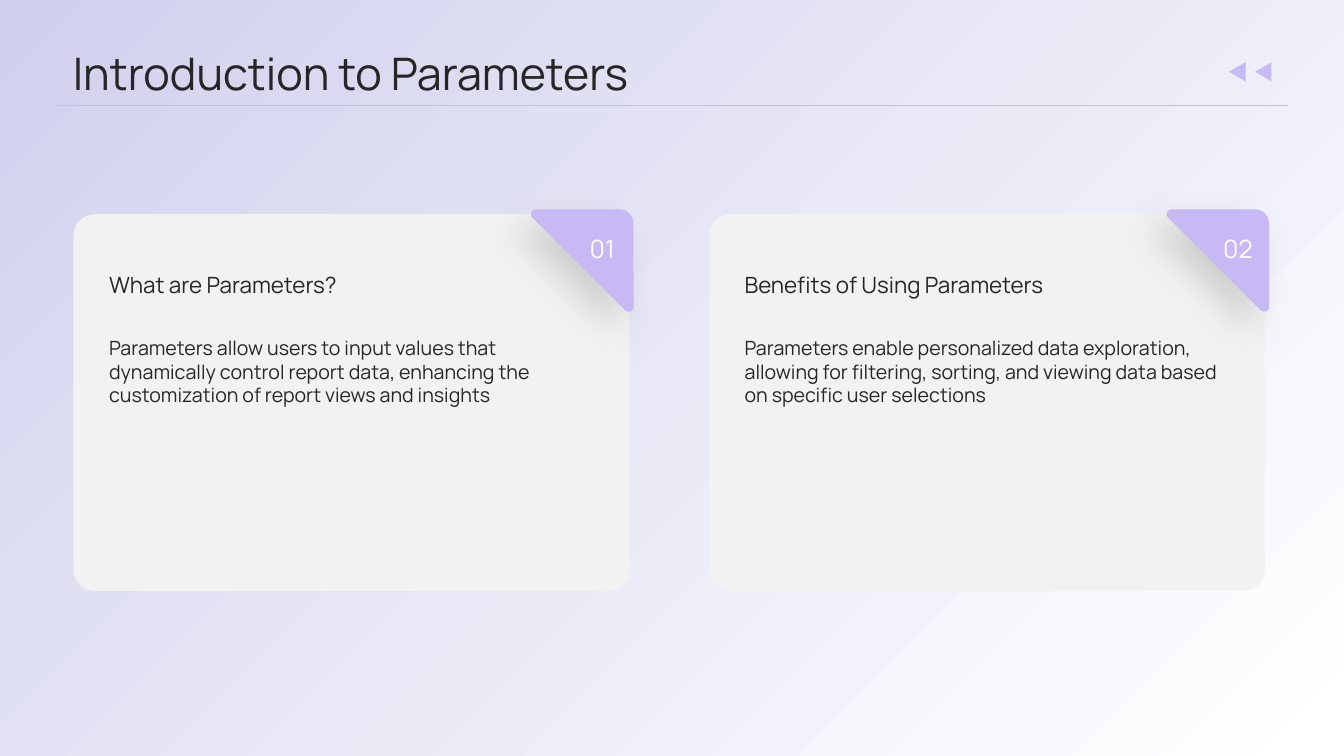
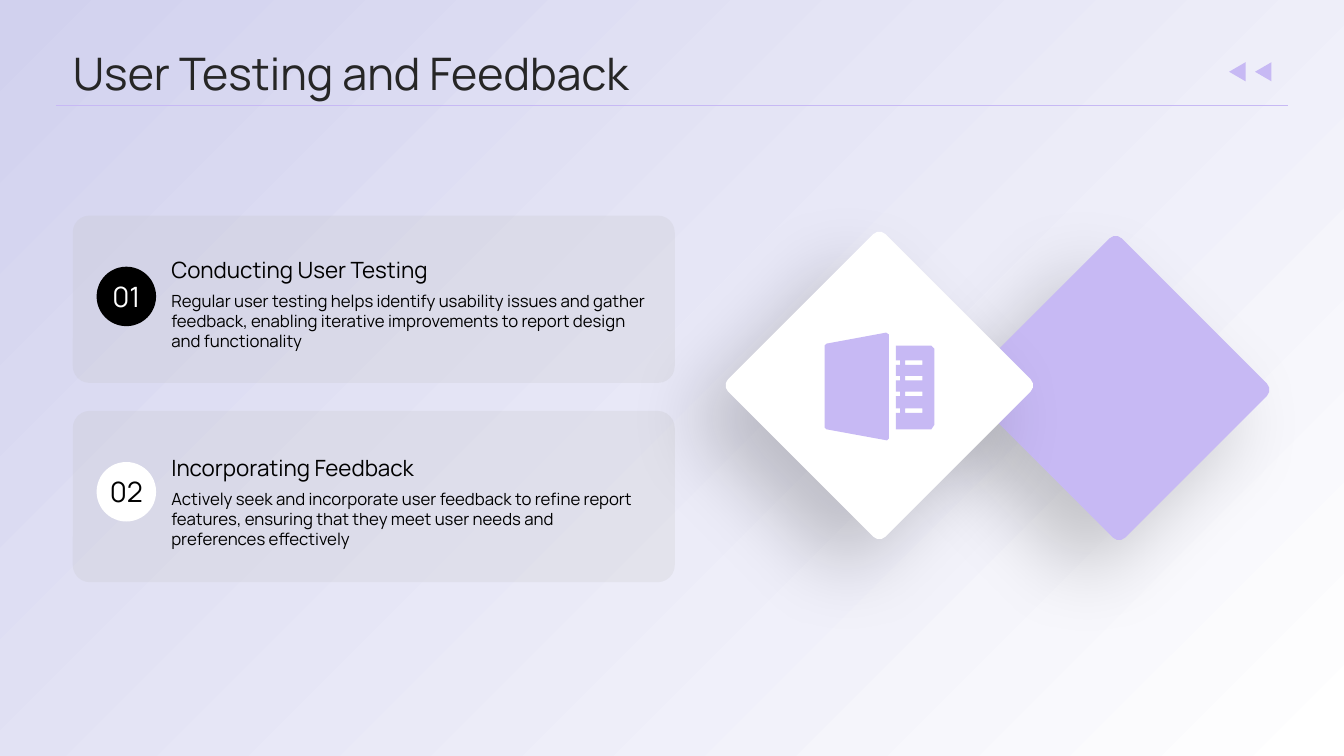
import math
from dataclasses import dataclass

import lxml.etree
import pptx
import pptx.dml.color
import pptx.enum.shapes
import pptx.enum.text
import pptx.oxml
import pptx.oxml.ns
import pptx.util

Pt = pptx.util.Pt
Shapes = pptx.enum.shapes.MSO_SHAPE
Anchor = pptx.enum.text.MSO_ANCHOR
Align = pptx.enum.text.PP_ALIGN
RGB = pptx.dml.color.RGBColor.from_string
qn = pptx.oxml.ns.qn


@dataclass(frozen=True)
class Theme:
    font: str = "Manrope"
    ink: str = "262626"
    black: str = "000000"
    white: str = "FFFFFF"
    accent: str = "C7B9F4"
    haze: str = "D1D1EE"
    card: str = "F2F2F2"
    panel: str = "BFBFBF"
    tab_shadow: tuple = ("808080", 30, 25, 15)
    diamond_shadow: tuple = ("000000", 20, 56, 33)
    title: int = 32
    badge: int = 20
    number: int = 18
    heading: int = 16
    body: int = 14
    detail: int = 12


theme = Theme()


def paint(shape, color, shadow=None, alpha=100):
    shape.shadow.inherit = False
    shape.fill.solid()
    shape.fill.fore_color.rgb = RGB(color)
    shape.line.fill.background()
    properties = shape._element.spPr
    if alpha < 100:
        tint = properties.find(qn("a:solidFill"))[0]
        lxml.etree.SubElement(tint, qn("a:alpha"), val=str(alpha * 1000))
    if shadow:
        shade, opacity, blur, distance = shadow
        cast = lxml.etree.SubElement(
            properties.find(qn("a:effectLst")), qn("a:outerShdw"),
            blurRad=str(Pt(blur)), dist=str(Pt(distance)),
            dir=str(135 * 60000), algn="ctr", rotWithShape="0")
        tone = lxml.etree.SubElement(cast, qn("a:srgbClr"), val=shade)
        lxml.etree.SubElement(tone, qn("a:alpha"), val=str(opacity * 1000))
    return shape


def write(shape, text, size, color, anchor=Anchor.TOP, align=Align.LEFT, inset=0, wrap=True):
    frame = shape.text_frame
    frame.text = text
    frame.word_wrap = wrap
    frame.vertical_anchor = anchor
    frame.margin_left = frame.margin_right = Pt(inset)
    frame.margin_top = frame.margin_bottom = Pt(inset)
    paragraph = frame.paragraphs[0]
    paragraph.alignment = align
    font = paragraph.runs[0].font
    font.name = theme.font
    font.size = Pt(size)
    font.color.rgb = RGB(color)


deck = pptx.Presentation()
deck.slide_width, deck.slide_height = Pt(960), Pt(540)

for title in ("Introduction to Parameters", "User Testing and Feedback"):
    shapes = deck.slides.add_slide(deck.slide_layouts[6]).shapes

    backdrop = paint(shapes.add_shape(Shapes.RECTANGLE, 0, 0, Pt(960), Pt(540)), theme.white)
    backdrop._element.spPr.find(qn("a:xfrm")).set("flipH", "1")
    solid = backdrop._element.spPr.find(qn("a:solidFill"))
    solid.getparent().replace(solid, pptx.oxml.parse_xml(
        '<a:gradFill xmlns:a="http://schemas.openxmlformats.org/drawingml/2006/main"><a:gsLst>'
        f'<a:gs pos="0"><a:srgbClr val="{theme.white}"/></a:gs>'
        f'<a:gs pos="100000"><a:srgbClr val="{theme.haze}"/></a:gs></a:gsLst>'
        '<a:path path="circle"><a:fillToRect l="100000" t="100000"/></a:path></a:gradFill>'))

    write(shapes.add_textbox(Pt(52), Pt(33), Pt(855), Pt(37)),
          title, theme.title, theme.ink, Anchor.MIDDLE)
    rule = shapes.add_connector(
        pptx.enum.shapes.MSO_CONNECTOR.STRAIGHT, Pt(40), Pt(75.5), Pt(920), Pt(75.5))
    rule.line.color.rgb = RGB(theme.accent)
    rule.line.width = Pt(0.75)
    lxml.etree.SubElement(rule._element.spPr, qn("a:effectLst"))
    for left in (877, 895.5):
        arrow = shapes.add_shape(Shapes.ISOSCELES_TRIANGLE, Pt(left), Pt(45.4), Pt(13.6), Pt(11.7))
        paint(arrow, theme.accent).rotation = 270

intro, testing = (slide.shapes for slide in deck.slides)

tab_arcs = (
    (4, 3.6, 3.6, 135, 270),
    (63.5, 10, 10, 270, 360),
    (70, 69.5, 3.6, 0, 135),
)
tab_outline = [
    (x + radius * math.cos(math.radians(angle)), y + radius * math.sin(math.radians(angle)))
    for x, y, radius, start, end in tab_arcs
    for angle in range(start, end + 1, 15)
]
topics = (
    ("What are Parameters?",
     "Parameters allow users to input values that dynamically control report data, "
     "enhancing the customization of report views and insights"),
    ("Benefits of Using Parameters",
     "Parameters enable personalized data exploration, allowing for filtering, sorting, "
     "and viewing data based on specific user selections"),
)
for index, (heading, body) in enumerate(topics):
    left = 52.5 + index * 454
    card = intro.add_shape(Shapes.ROUNDED_RECTANGLE, Pt(left), Pt(153), Pt(397), Pt(269))
    card.adjustments[0] = 0.056
    paint(card, theme.card)

    corner = [(Pt(left + 326.5 + x), Pt(149.5 + y)) for x, y in tab_outline]
    builder = intro.build_freeform(*corner[0])
    builder.add_line_segments(corner[1:])
    paint(builder.convert_to_shape(), theme.accent, theme.tab_shadow)

    write(intro.add_textbox(Pt(left + 355), Pt(163.5), Pt(45.4), Pt(28)),
          f"{index + 1:02}", theme.number, theme.white, Anchor.MIDDLE, Align.CENTER)
    write(intro.add_textbox(Pt(left + 25.4), Pt(186), Pt(330), Pt(34)),
          heading, theme.heading, theme.ink, Anchor.MIDDLE)
    write(intro.add_textbox(Pt(left + 25.4), Pt(240), Pt(345.6), Pt(153)),
          body, theme.body, theme.ink)

steps = (
    ("Conducting User Testing",
     "Regular user testing helps identify usability issues and gather feedback, "
     "enabling iterative improvements to report design and functionality",
     154, 119.5, theme.black, theme.white),
    ("Incorporating Feedback",
     "Actively seek and incorporate user feedback to refine report features, "
     "ensuring that they meet user needs and preferences effectively",
     293.5, 122.4, theme.white, theme.black),
)
for index, (heading, body, top, height, badge_color, number_color) in enumerate(steps):
    panel = testing.add_shape(Shapes.ROUNDED_RECTANGLE, Pt(52), Pt(top), Pt(430), Pt(height))
    panel.adjustments[0] = 0.1
    paint(panel, theme.panel, alpha=20)

    badge = testing.add_shape(Shapes.OVAL, Pt(69), Pt(top + 36.5), Pt(42.5), Pt(42.5))
    write(paint(badge, badge_color), f"{index + 1:02}", theme.badge, number_color,
          Anchor.MIDDLE, Align.CENTER, inset=8.64, wrap=False)

    text_top = 207.4 + index * 141.8
    write(testing.add_textbox(Pt(122.4), Pt(text_top - 39.6), Pt(340), Pt(34)),
          heading, theme.heading, theme.black, Anchor.BOTTOM)
    write(testing.add_textbox(Pt(122.4), Pt(text_top), Pt(340), Pt(58)),
          body, theme.detail, theme.black)

diamonds = (
    (718.6, 199.4, 155.5, theme.accent),
    (548.6, 195.8, 159, theme.white),
)
for left, top, height, color in diamonds:
    diamond = testing.add_shape(Shapes.ROUNDED_RECTANGLE, Pt(left), Pt(top), Pt(159), Pt(height))
    diamond.adjustments[0] = 0.039
    diamond.rotation = 45
    paint(diamond, color, theme.diamond_shadow)

cover = [(589, 246.9), (590.4, 245.5), (633, 237.6), (635, 239),
         (635, 313.2), (633.6, 314.6), (590.4, 306.7), (589, 305.3)]
page = [(640, 247), (665.3, 247), (667.4, 249.2), (667.4, 303.5), (665.3, 306.7), (640, 306.7)]
slots = []
for top in (291.8, 279.8, 268.6, 257.4):
    bottom = top + 3.2
    page += [(640, bottom), (643, bottom), (643, top), (640, top)]
    slots.append([(646.6, top), (646.6, bottom), (658.8, bottom), (658.8, top)])

icon = testing.build_freeform(Pt(cover[0][0]), Pt(cover[0][1]))
for contour in (cover, page, *slots):
    points = [(Pt(x), Pt(y)) for x, y in contour]
    if contour is not cover:
        icon.move_to(*points[0])
    icon.add_line_segments(points[1:])
paint(icon.convert_to_shape(), theme.accent)

deck.save("out.pptx")
